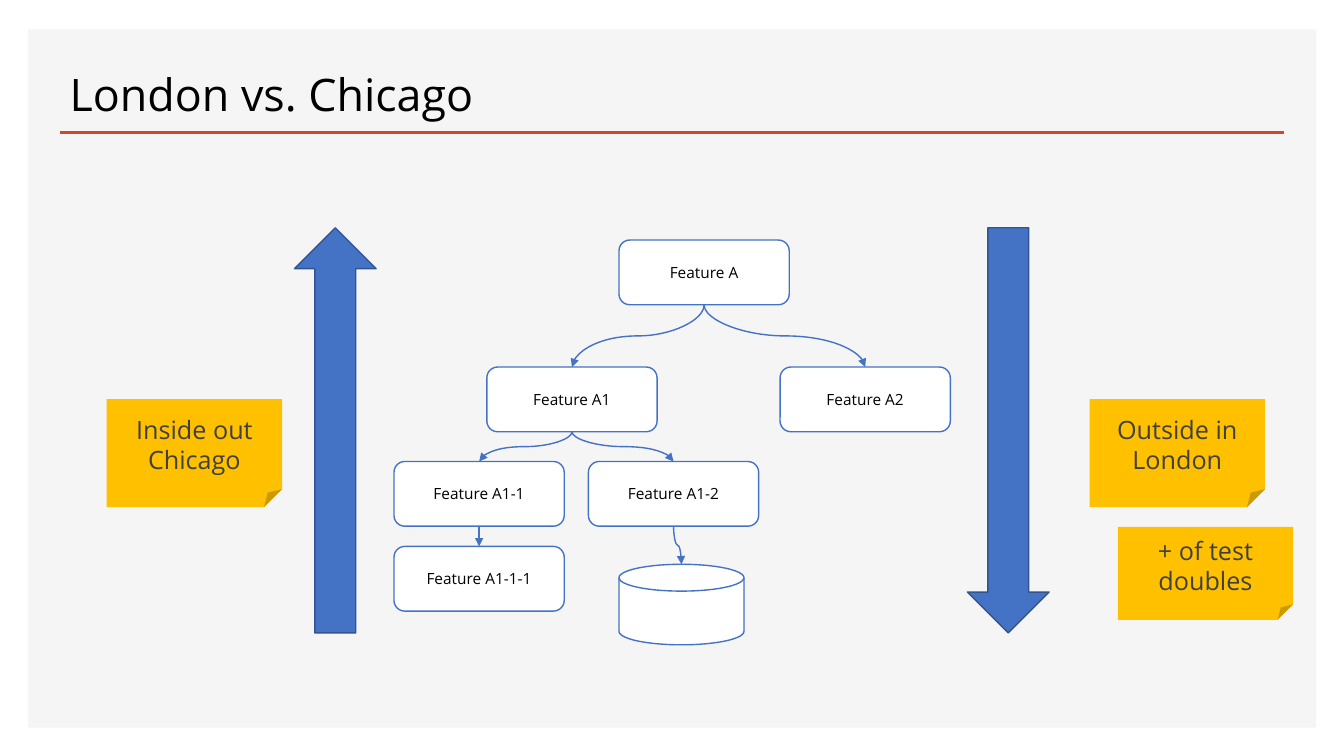
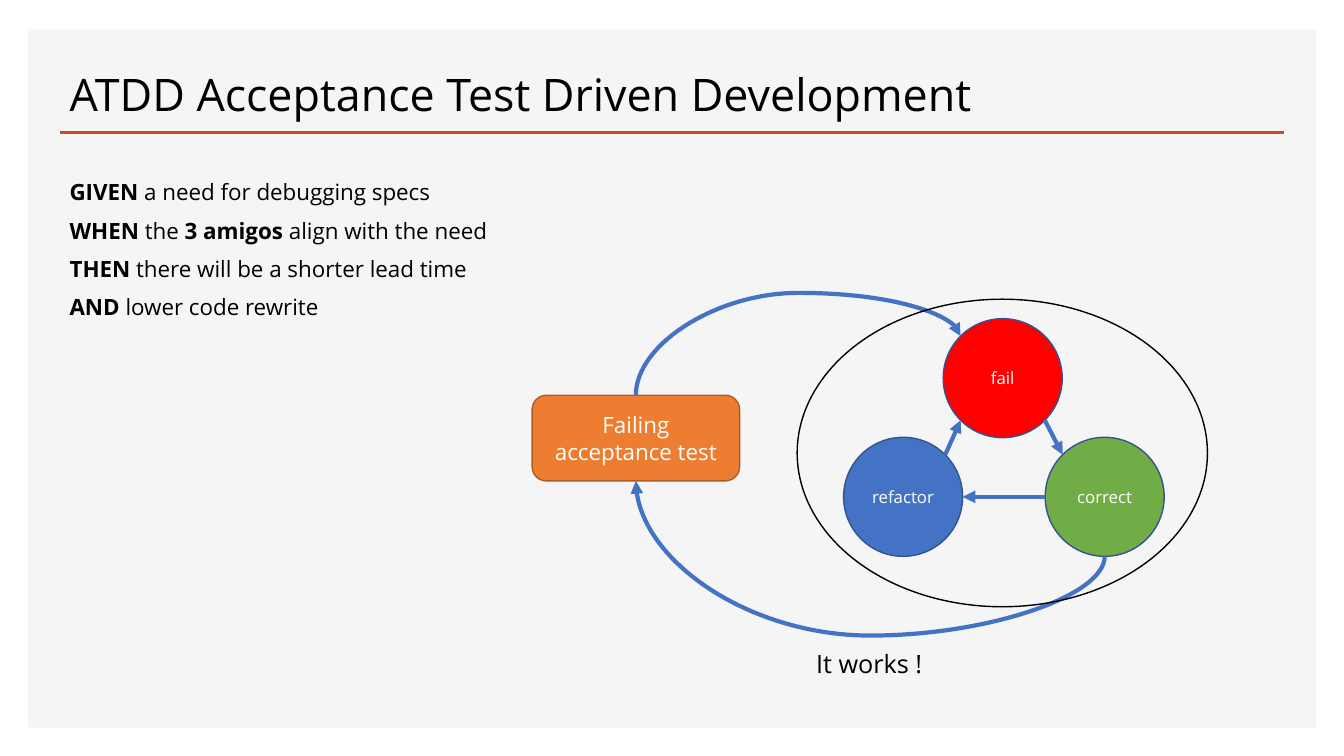
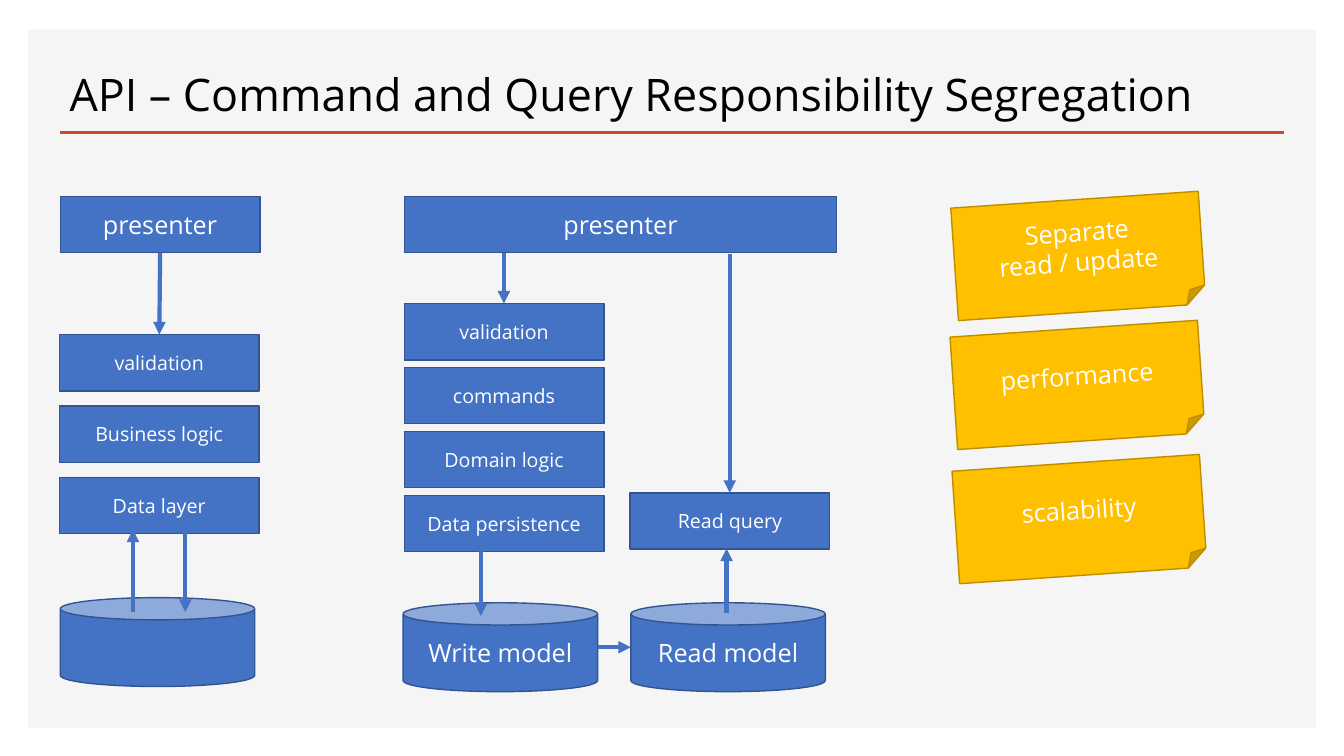
from lxml.etree import SubElement
from pptx import Presentation
from pptx.dml.color import RGBColor
from pptx.enum.shapes import MSO_CONNECTOR, MSO_SHAPE
from pptx.enum.text import MSO_ANCHOR, MSO_AUTO_SIZE, PP_ALIGN
from pptx.oxml.ns import qn
from pptx.util import Cm, Pt

FONT = "Open Sans"
COLORS = {
    "panel": "F5F5F5", "rule": "D24726", "black": "000000", "white": "FFFFFF",
    "grey": "404040", "blue": "4472C4", "navy": "325491", "note": "FFC000",
    "note_edge": "BD8E00", "red": "FF0000", "green": "70AD47",
    "orange": "ED7D31", "orange_edge": "AF5C24",
}
TITLE_ONLY, TITLE_AND_BODY = 5, 1

# Connection sites in the order of their index in each preset shape
BOX_SITES = ["top", "left", "bottom", "right"]
DISK_SITES = ["rim", "top", "left", "bottom", "right"]
SITES = {
    MSO_SHAPE.OVAL: ["top", "top left", "left", "bottom left",
                     "bottom", "bottom right", "right", "top right"],
    MSO_SHAPE.CAN: DISK_SITES,
    MSO_SHAPE.FLOWCHART_MAGNETIC_DISK: DISK_SITES,
}
DIAGONAL = 0.5 - 0.5 ** 1.5
SITE_PLACES = {
    "top": (0.5, 0), "left": (0, 0.5), "bottom": (0.5, 1), "right": (1, 0.5),
    "top left": (DIAGONAL, DIAGONAL), "top right": (1 - DIAGONAL, DIAGONAL),
    "bottom left": (DIAGONAL, 1 - DIAGONAL),
    "bottom right": (1 - DIAGONAL, 1 - DIAGONAL),
}


def rgb(name):
    return RGBColor.from_string(COLORS[name])


def site_index(shape, site):
    return SITES.get(shape.auto_shape_type, BOX_SITES).index(site)


def site_point(shape, site):
    across, down = SITE_PLACES[site]
    return (int(shape.left + across * shape.width),
            int(shape.top + down * shape.height))


class Deck:
    def __init__(self):
        self.prs = Presentation()
        self.prs.slide_width, self.prs.slide_height = Cm(33.87), Cm(19.05)
        self.slide = None

    def new_slide(self, title, layout=TITLE_ONLY):
        first = self.slide is None
        self.slide = self.prs.slides.add_slide(self.prs.slide_layouts[layout])
        if first:
            self.decorate_master()
        heading = self.slide.shapes.title
        self.place(heading, 1.5, 1.02, 30.86, 2.16)
        frame = heading.text_frame
        frame.text = title
        frame.auto_size = MSO_AUTO_SIZE.NONE
        frame.vertical_anchor = MSO_ANCHOR.BOTTOM
        self.style_text(frame, 32, "black", PP_ALIGN.LEFT, spacing=0.9)

    def decorate_master(self):
        """Draw the panel and the title rule, then move them to the master."""
        panel = self.shape(MSO_SHAPE.RECTANGLE, (0.71, 0.74, 32.46, 17.6), "panel")
        rule = self.line((Cm(1.5), Cm(3.33)), (Cm(32.36), Cm(3.33)), "rule", 2)
        tree = self.prs.slide_master.shapes._spTree
        for index, part in enumerate((panel, rule), start=2):
            tree.insert(index, part._element)

    def place(self, shape, left, top, width, height):
        shape.left, shape.top = Cm(left), Cm(top)
        shape.width, shape.height = Cm(width), Cm(height)

    def style_text(self, frame, size, color, align, spacing=None):
        for paragraph in frame.paragraphs:
            paragraph.alignment = align
            paragraph.line_spacing = spacing
            font = paragraph.font
            font.name, font.size = FONT, Pt(size)
            font.color.rgb = rgb(color)

    def shape(self, kind, box, fill=None, edge=None, text="", size=14,
              color="white", rotation=0):
        shape = self.slide.shapes.add_shape(kind, *map(Cm, box))
        shape.shadow.inherit = False
        shape.rotation = rotation
        if fill:
            shape.fill.solid()
            shape.fill.fore_color.rgb = rgb(fill)
        else:
            shape.fill.background()
        if edge:
            shape.line.color.rgb = rgb(edge)
            shape.line.width = Pt(1)
        else:
            shape.line.fill.background()
        if text:
            frame = shape.text_frame
            frame.text = text
            frame.word_wrap = True
            frame.vertical_anchor = MSO_ANCHOR.MIDDLE
            self.style_text(frame, size, color, PP_ALIGN.CENTER)
        return shape

    def note(self, box, text, **style):
        return self.shape(MSO_SHAPE.FOLDED_CORNER, box, "note", text=text,
                          size=18, **style)

    def label(self, box, text):
        frame = self.slide.shapes.add_textbox(*map(Cm, box)).text_frame
        frame.text = text
        frame.word_wrap = False
        self.style_text(frame, 18, "black", PP_ALIGN.LEFT)

    def body(self, box, lines):
        """Fill the body; each line is a list of (text, bold) pieces."""
        holder = self.slide.placeholders[1]
        self.place(holder, *box)
        frame = holder.text_frame
        frame.auto_size = MSO_AUTO_SIZE.NONE
        for number, pieces in enumerate(lines):
            paragraph = frame.add_paragraph() if number else frame.paragraphs[0]
            properties = paragraph._p.get_or_add_pPr()
            properties.set("marL", "0")
            properties.set("indent", "0")
            paragraph.space_before = Pt(10 if number else 0)
            SubElement(properties, qn("a:buNone"))
            for text, bold in pieces:
                run = paragraph.add_run()
                run.text, run.font.bold = text, bold
        self.style_text(frame, 16, "black", PP_ALIGN.LEFT, spacing=0.9)

    def line(self, start, end, color="blue", width=3, kind=MSO_CONNECTOR.STRAIGHT):
        line = self.slide.shapes.add_connector(kind, *start, *end)
        line.line.color.rgb = rgb(color)
        line.line.width = Pt(width)
        SubElement(line._element.spPr, qn("a:effectLst"))
        return line

    def add_head(self, line):
        SubElement(line.line._get_or_add_ln(), qn("a:tailEnd"), type="triangle")

    def arrow(self, x1, y1, x2, y2):
        self.add_head(self.line((Cm(x1), Cm(y1)), (Cm(x2), Cm(y2))))

    def link(self, source, source_site, target, target_site, width=3, bend=None):
        """Join two shapes; with a bend the link is a curve that leaves vertically."""
        start = site_point(source, source_site)
        end = site_point(target, target_site)
        kind = MSO_CONNECTOR.STRAIGHT if bend is None else MSO_CONNECTOR.CURVE
        link = self.line(start, end, width=width, kind=kind)
        link._connect_begin_to(source, site_index(source, source_site))
        link._connect_end_to(target, site_index(target, target_site))
        self.add_head(link)
        if bend is not None:
            self.turn_curve(link, start, end, bend)

    def turn_curve(self, link, start, end, bend):
        """Turn a curve by a quarter, so that it runs down or up first."""
        (x1, y1), (x2, y2) = start, end
        width, height = abs(y2 - y1), abs(x2 - x1)
        link.left, link.top = (x1 + x2 - width) // 2, (y1 + y2 - height) // 2
        link.width, link.height = width, height
        up, right = y2 < y1, x2 > x1
        frame = link._element.spPr.find(qn("a:xfrm"))
        frame.set("rot", str((270 if right and not up else 90) * 60000))
        frame.set("flipH", str(int(up or right)))
        frame.set("flipV", str(int(up and right)))
        geometry = link._element.spPr.find(qn("a:prstGeom"))
        guides = geometry.find(qn("a:avLst"))
        if guides is None:
            guides = SubElement(geometry, qn("a:avLst"))
        SubElement(guides, qn("a:gd"), name="adj1", fmla=f"val {round(bend * 100000)}")


def london_chicago(deck):
    deck.new_slide("London vs. Chicago")
    features = {
        name: deck.shape(MSO_SHAPE.ROUNDED_RECTANGLE, (left, top, 4.29, 1.63),
                         "white", "blue", f"Feature {name}", 11, "black")
        for name, left, top in [
            ("A", 15.6, 6.05), ("A1", 12.27, 9.25), ("A2", 19.66, 9.25),
            ("A1-1", 9.93, 11.63), ("A1-2", 14.83, 11.63), ("A1-1-1", 9.93, 13.77)]
    }
    features["database"] = deck.shape(MSO_SHAPE.FLOWCHART_MAGNETIC_DISK,
                                      (15.6, 14.22, 3.15, 2.03), "white", "blue")
    for parent, child in [("A", "A1"), ("A", "A2"), ("A1", "A1-1"), ("A1", "A1-2"),
                          ("A1-1", "A1-1-1"), ("A1-2", "database")]:
        deck.link(features[parent], "bottom", features[child], "top", 1, bend=0.5)

    for direction, left in [(MSO_SHAPE.UP_ARROW, 7.42), (MSO_SHAPE.DOWN_ARROW, 24.38)]:
        deck.shape(direction, (left, 5.74, 2.06, 10.21), "blue", "navy")
    for left, top, height, text in [(2.69, 10.06, 2.72, "Inside out\nChicago"),
                                    (27.46, 10.06, 2.72, "Outside in\nLondon"),
                                    (28.17, 13.28, 2.34, "+ of test doubles")]:
        deck.note((left, top, 4.42, height), text, color="grey")


def acceptance_tests(deck):
    deck.new_slide("ATDD Acceptance Test Driven Development", TITLE_AND_BODY)
    deck.body((1.5, 4.45, 13.34, 13.79), [
        [("GIVEN", True), (" a need for debugging specs", False)],
        [("WHEN", True), (" the ", False), ("3 amigos ", True),
         ("align with the need", False)],
        [("THEN ", True), ("there will be a shorter lead time", False)],
        [("AND ", True), ("lower code rewrite", False)],
    ])
    fail, correct, refactor = [
        deck.shape(MSO_SHAPE.OVAL, (left, top, 3, 3), fill, "navy", step, 12)
        for step, left, top, fill in [("fail", 23.77, 8.03, "red"),
                                      ("correct", 26.34, 11.02, "green"),
                                      ("refactor", 21.26, 11.02, "blue")]
    ]
    acceptance = deck.shape(MSO_SHAPE.ROUNDED_RECTANGLE, (13.41, 9.96, 5.23, 2.16),
                            "orange", "orange_edge", "Failing acceptance test", 16)
    deck.link(refactor, "top right", fail, "bottom left")
    deck.link(fail, "bottom right", correct, "top left")
    deck.link(correct, "left", refactor, "right")
    deck.link(correct, "bottom", acceptance, "bottom", bend=-1.05)
    deck.link(acceptance, "top", fail, "top left", bend=1.73)
    deck.label((20.32, 16.21, 3.2, 1.02), "It works !")
    deck.shape(MSO_SHAPE.OVAL, (20.09, 7.54, 10.34, 7.75), edge="black")


def command_query(deck):
    deck.new_slide("API – Command and Query Responsibility Segregation")

    def block(left, top, text, width=5.03, size=14):
        return deck.shape(MSO_SHAPE.RECTANGLE, (left, top, width, 1.42),
                          "blue", "navy", text, size)

    def stack(left, top, step, layers):
        return [block(left, top + step * row, text) for row, text in enumerate(layers)]

    def store(left, top, text=""):
        return deck.shape(MSO_SHAPE.CAN, (left, top, 4.9, 2.24),
                          "blue", "navy", text, 18)

    presenter = block(1.52, 4.95, "presenter", size=18)
    layers = stack(1.5, 8.43, 1.8, ["validation", "Business logic", "Data layer"])
    store(1.52, 15.06)
    deck.link(presenter, "bottom", layers[0], "top")
    deck.arrow(4.67, 13.34, 4.67, 15.42)
    deck.arrow(3.35, 15.42, 3.35, 13.34)

    block(10.19, 4.95, "presenter", width=10.9, size=18)
    stack(10.19, 7.65, 1.61,
          ["validation", "commands", "Domain logic", "Data persistence"])
    block(15.88, 12.42, "Read query")
    write_model = store(10.16, 15.19, "Write model")
    read_model = store(15.9, 15.19, "Read model")
    deck.arrow(12.7, 6.37, 12.7, 7.65)
    deck.arrow(12.12, 13.89, 12.12, 15.52)
    deck.arrow(18.31, 15.44, 18.31, 13.82)
    deck.arrow(18.39, 6.4, 18.39, 12.42)
    deck.link(write_model, "right", read_model, "left")

    for left, top, benefit in [(24.05, 5.03, "Separate\nread / update"),
                               (24.03, 8.28, "performance"),
                               (24.08, 11.66, "scalability")]:
        deck.note((left, top, 6.25, 2.84), benefit, edge="note_edge", rotation=356.1)


def main():
    deck = Deck()
    for build in (london_chicago, acceptance_tests, command_query):
        build(deck)
    deck.prs.save("out.pptx")


if __name__ == "__main__":
    main()
